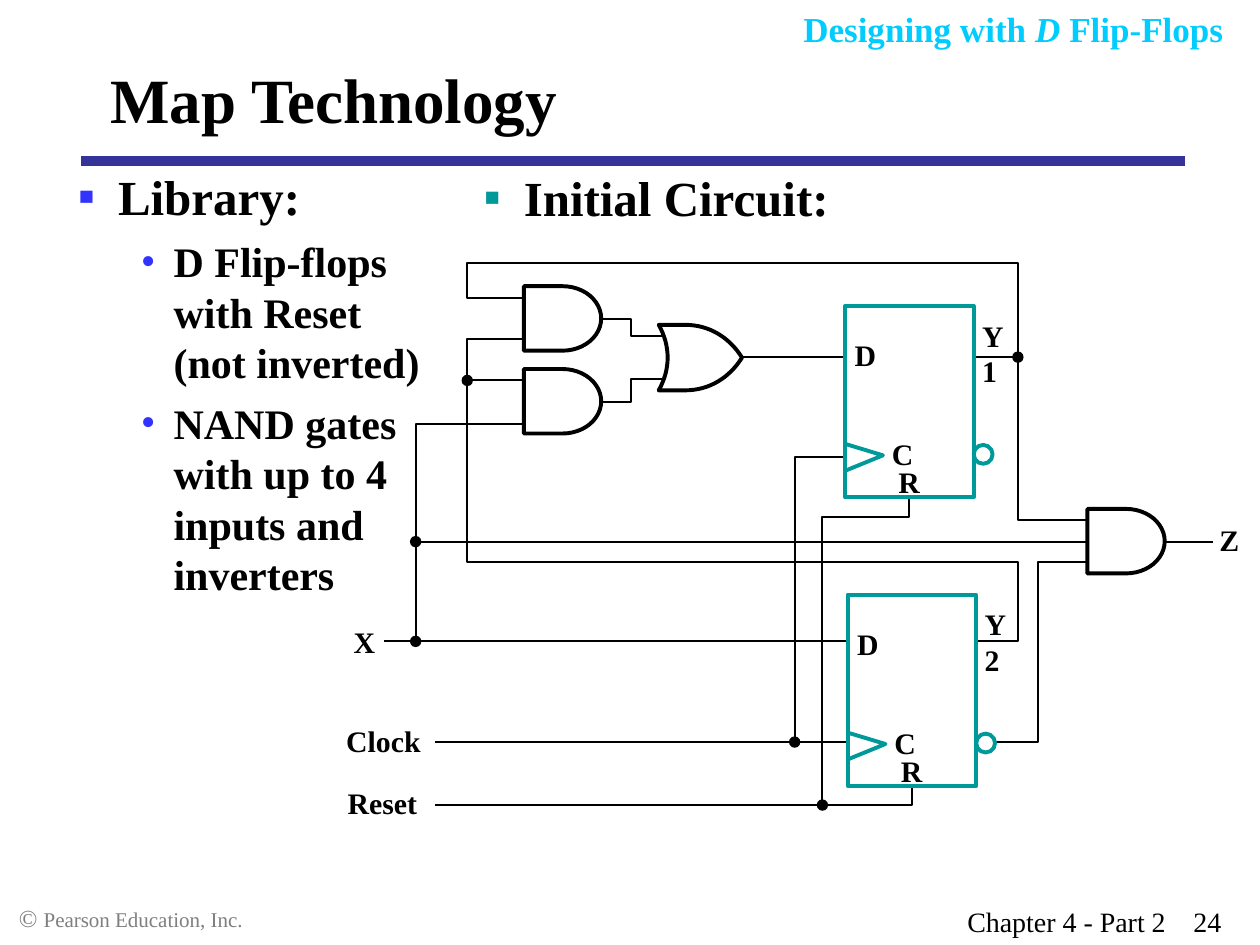
"""Build the slide that maps a D flip-flop circuit to a gate library."""
from dataclasses import dataclass

from lxml import etree
from pptx import Presentation
from pptx.dml.color import RGBColor
from pptx.enum.shapes import MSO_CONNECTOR, MSO_SHAPE
from pptx.enum.text import MSO_ANCHOR, PP_ALIGN
from pptx.oxml.ns import qn
from pptx.util import Cm, Pt

STRAIGHT = MSO_CONNECTOR.STRAIGHT
RECTANGLE, OVAL, AND_GATE = MSO_SHAPE.RECTANGLE, MSO_SHAPE.OVAL, MSO_SHAPE.FLOWCHART_DELAY
MIDDLE, RIGHT = MSO_ANCHOR.MIDDLE, PP_ALIGN.RIGHT


@dataclass(frozen=True)
class Theme:
    """Colours, font and sizes of the slide."""
    font: str = "Times New Roman"
    ink: str = "000000"
    paper: str = "FFFFFF"
    teal: str = "009999"
    bullet: str = "3333FF"
    rule: str = "333399"
    header: str = "00CCFF"
    muted: str = "7F7F7F"
    title_size: float = 36
    heading_size: float = 28
    item_size: float = 24
    header_size: float = 20
    label_size: float = 17
    page_size: float = 16
    mark_size: float = 14
    credit_size: float = 12
    wire: float = 1.13
    outline: float = 2.25
    divider: float = 6


@dataclass(frozen=True)
class Box:
    """A region in centimetres."""
    left: float
    top: float
    width: float
    height: float

    def inner(self, x, y, width=0, height=0):
        """Return a box placed relative to this one."""
        return Box(self.left + x, self.top + y, width, height)

    def emu(self):
        """Return left, top, width and height as lengths."""
        return Cm(self.left), Cm(self.top), Cm(self.width), Cm(self.height)


THEME = Theme()


def style_font(font, size, color=THEME.ink, bold=True):
    """Give a font the slide's typeface."""
    font.name, font.size, font.bold = THEME.font, Pt(size), bold
    font.color.rgb = RGBColor.from_string(color)


def add_frame(slide, box, inset=True, wrap=True):
    """Add a text box and return its frame."""
    frame = slide.shapes.add_textbox(*box.emu()).text_frame
    frame.word_wrap = wrap
    if not inset:
        frame.margin_left = frame.margin_right = frame.margin_top = frame.margin_bottom = 0
    return frame


def add_label(slide, box, text, wrap=False):
    """Add a circuit label without insets."""
    paragraph = add_frame(slide, box, inset=False, wrap=wrap).paragraphs[0]
    paragraph.text = text
    style_font(paragraph.font, THEME.label_size)


def set_bullet(paragraph, mark, color, margin, hanging):
    """Give a paragraph a coloured bullet and a hanging indent."""
    props = paragraph._p.get_or_add_pPr()
    props.set("marL", str(Cm(margin)))
    props.set("indent", str(-Cm(hanging)))
    tint = etree.SubElement(props, qn("a:buClr"))
    etree.SubElement(tint, qn("a:srgbClr"), val=color)
    etree.SubElement(props, qn("a:buFont"), typeface=THEME.font)
    etree.SubElement(props, qn("a:buChar"), char=mark)


def style_outline(shape, color, width, fill=None):
    """Set line and fill, and take the shadow away."""
    shape.shadow.inherit = False
    shape.line.color.rgb = RGBColor.from_string(color)
    shape.line.width = Pt(width)
    if fill:
        shape.fill.solid()
        shape.fill.fore_color.rgb = RGBColor.from_string(fill)
    else:
        shape.fill.background()


def add_part(slide, kind, box, color=THEME.ink):
    """Add an outlined preset shape of the circuit."""
    style_outline(slide.shapes.add_shape(kind, *box.emu()), color, THEME.outline, THEME.paper)


def add_dot(slide, center):
    """Add a junction dot around a point."""
    size = 0.23
    dot = slide.shapes.add_shape(OVAL, *center.inner(-size / 2, -size / 2, size, size).emu())
    style_outline(dot, THEME.ink, THEME.wire, THEME.ink)
    dot.line.fill.background()


def add_outline(slide, box, points, color=THEME.ink, width=THEME.outline, fill=None):
    """Draw a path through points relative to the box, closed if filled."""
    start, *rest = [box.inner(*point).emu()[:2] for point in points]
    builder = slide.shapes.build_freeform(*start)
    builder.add_line_segments(rest, close=fill is not None)
    style_outline(builder.convert_to_shape(), color, width, fill)


def add_line(slide, box, start, end, color=THEME.ink, width=THEME.wire):
    """Draw a straight line between points relative to the box."""
    ends = [length for point in (start, end) for length in box.inner(*point).emu()[:2]]
    line = slide.shapes.add_connector(STRAIGHT, *ends)
    line.line.color.rgb = RGBColor.from_string(color)
    line.line.width = Pt(width)
    etree.SubElement(line._element.spPr, qn("a:effectLst"))


def curve(a, b, c, d, steps=16):
    """Return points along a cubic curve."""
    ratios = [step / steps for step in range(steps + 1)]
    return [tuple((1 - t) ** 3 * p + 3 * t * (1 - t) ** 2 * q + 3 * t * t * (1 - t) * r + t ** 3 * s
                  for p, q, r, s in zip(a, b, c, d)) for t in ratios]


def add_or_gate(slide, box):
    """Draw an OR gate that fills the box."""
    w, h = box.width, box.height
    back = curve((0, h), (0.24, 0.68 * h), (0.24, 0.32 * h), (0, 0))
    top = curve((0.53, 0), (1.02, 0), (1.42, 0.25), (w, h / 2))
    bottom = [(x, h - y) for x, y in reversed(top)]
    add_outline(slide, box, back + top + bottom, fill=THEME.paper)


def add_flip_flop(slide, box, output):
    """Draw a D flip-flop with reset and its output label."""
    add_part(slide, RECTANGLE, box, THEME.teal)
    add_part(slide, OVAL, box.inner(box.width, 2.8, 0.38, 0.38), THEME.teal)
    add_outline(slide, box, [(0, 2.78), (0.76, 3.01), (0, 3.32)], THEME.teal)
    for text, x, y in (("D", 0.19, 0.62), ("C", 0.94, 2.62), ("R", 1.07, 3.18)):
        add_label(slide, box.inner(x, y, 0.45, 0.71), text)
    add_label(slide, box.inner(2.76, 0.23, 0.61, 0.81), output, wrap=True)


def add_circuit(slide, box):
    """Draw the wires, gates, flip-flops and signal names."""
    wires = [
        [(4.39, 0.69), (2.44, 0.69), (2.44, 0), (13.54, 0), (13.54, 5.18), (15.62, 5.18)],
        [(4.39, 1.52), (2.44, 1.52), (2.44, 6.02), (13.54, 6.02), (13.54, 7.62), (0.76, 7.62)],
        [(15.34, 6.02), (13.94, 6.02), (13.94, 9.65), (1.78, 9.65)],
        [(11.4, 9.02), (11.4, 10.92), (1.78, 10.92)],
        [(3.96, 3.23), (1.4, 3.23), (1.4, 7.62)],
        [(4.01, 1.12), (5.74, 1.12), (5.74, 1.47), (6.78, 1.47)],
        [(4.01, 2.79), (5.74, 2.79), (5.74, 2.34), (6.78, 2.34)],
        [(11.51, 3.91), (9.04, 3.91), (9.04, 9.65)],
        [(9.6, 10.92), (9.6, 5.11), (11.35, 5.11), (11.35, 4.06)],
    ]
    for wire in wires:
        add_outline(slide, box, wire, width=THEME.wire)
    for start, end in (((1.4, 5.61), (17.48, 5.61)), ((2.44, 2.36), (4.04, 2.36)),
                       ((7.04, 1.89), (13.54, 1.89))):
        add_line(slide, box, start, end)
    for x, y, output in ((10.06, 0.86, "Y1"), (10.11, 6.68, "Y2")):
        add_flip_flop(slide, box.inner(x, y, 2.59, 3.86), output)
    for x, y in ((3.58, 0.46), (3.58, 2.13), (14.94, 4.95)):
        add_part(slide, AND_GATE, box.inner(x, y, 1.56, 1.3))
    add_or_gate(slide, box.inner(6.3, 1.24, 1.68, 1.32))
    for x, y in ((2.44, 2.36), (1.4, 5.61), (1.4, 7.62), (9.04, 9.65), (13.54, 1.89), (9.6, 10.92)):
        add_dot(slide, box.inner(x, y))
    for text, x, y, width in (("X", 0.15, 7.26, 0.43), ("Clock", 0, 9.27, 1.68),
                              ("Reset", 0.03, 10.52, 1.65), ("Z", 17.6, 5.21, 0.41)):
        add_label(slide, box.inner(x, y, width, 0.71), text)


def add_list(slide, box, heading, color, items=()):
    """Write a bulleted heading with its items."""
    frame = add_frame(slide, box)
    paragraph = frame.paragraphs[0]
    paragraph.text = heading
    set_bullet(paragraph, "▪", color, 0.81, 0.81)
    style_font(paragraph.font, THEME.heading_size)
    for item in items:
        paragraph = frame.add_paragraph()
        paragraph.text, paragraph.level = item, 1
        paragraph.space_before = Pt(6)
        set_bullet(paragraph, "•", color, 1.93, 0.66)
        style_font(paragraph.font, THEME.item_size)


def add_heading(slide, box):
    """Write the running header and title above the divider."""
    header = add_frame(slide, box.inner(12.01, 0.03, 12.9, 1.12)).paragraphs[0]
    header.alignment = RIGHT
    for text in ("Designing with ", "D", " Flip-Flops"):
        run = header.add_run()
        run.text, run.font.italic = text, text == "D"
    style_font(header.font, THEME.header_size, THEME.header)
    frame = add_frame(slide, box.inner(1.98, 1.14, 21.59, 1.68))
    frame.vertical_anchor = MIDDLE
    frame.paragraphs[0].text = "Map Technology"
    style_font(frame.paragraphs[0].font, THEME.title_size)
    add_line(slide, box, (1.63, 3.25), (23.88, 3.25), THEME.rule, THEME.divider)


def add_footer(slide, box):
    """Write the copyright line and the page reference."""
    credit = add_frame(slide, box.inner(0.13, 0, 12.7, 0.86)).paragraphs[0]
    for text, size in (("© ", THEME.mark_size), ("Pearson Education, Inc.", THEME.credit_size)):
        run = credit.add_run()
        run.text = text
        style_font(run.font, size, THEME.muted, bold=False)
    page = add_frame(slide, box.inner(19.25, 0.03, 6.15, 0.94)).paragraphs[0]
    page.text = "Chapter 4 - Part 2\t24"
    tabs = etree.SubElement(page._p.get_or_add_pPr(), qn("a:tabLst"))
    etree.SubElement(tabs, qn("a:tab"), pos=str(Cm(4.56)), algn="l")
    style_font(page.font, THEME.page_size, bold=False)


def main():
    """Assemble and save the slide."""
    deck = Presentation()
    deck.slide_width, deck.slide_height = Cm(25.4), Cm(19.05)
    slide = deck.slides.add_slide(deck.slide_layouts[6])
    add_heading(slide, Box(0, 0, 25.4, 3.4))
    add_list(slide, Box(1.32, 3.23, 7.87, 13.97), "Library:", THEME.bullet,
             ("D Flip-flops\vwith Reset\v(not inverted)",
              "NAND gates\vwith up to 4\vinputs and\vinverters"))
    add_list(slide, Box(9.5, 3.25, 7.87, 1.83), "Initial Circuit:", THEME.teal)
    add_circuit(slide, Box(6.98, 5.31, 18.01, 11.23))
    add_footer(slide, Box(0, 18.08, 25.4, 0.97))
    deck.save("out.pptx")


if __name__ == "__main__":
    main()
